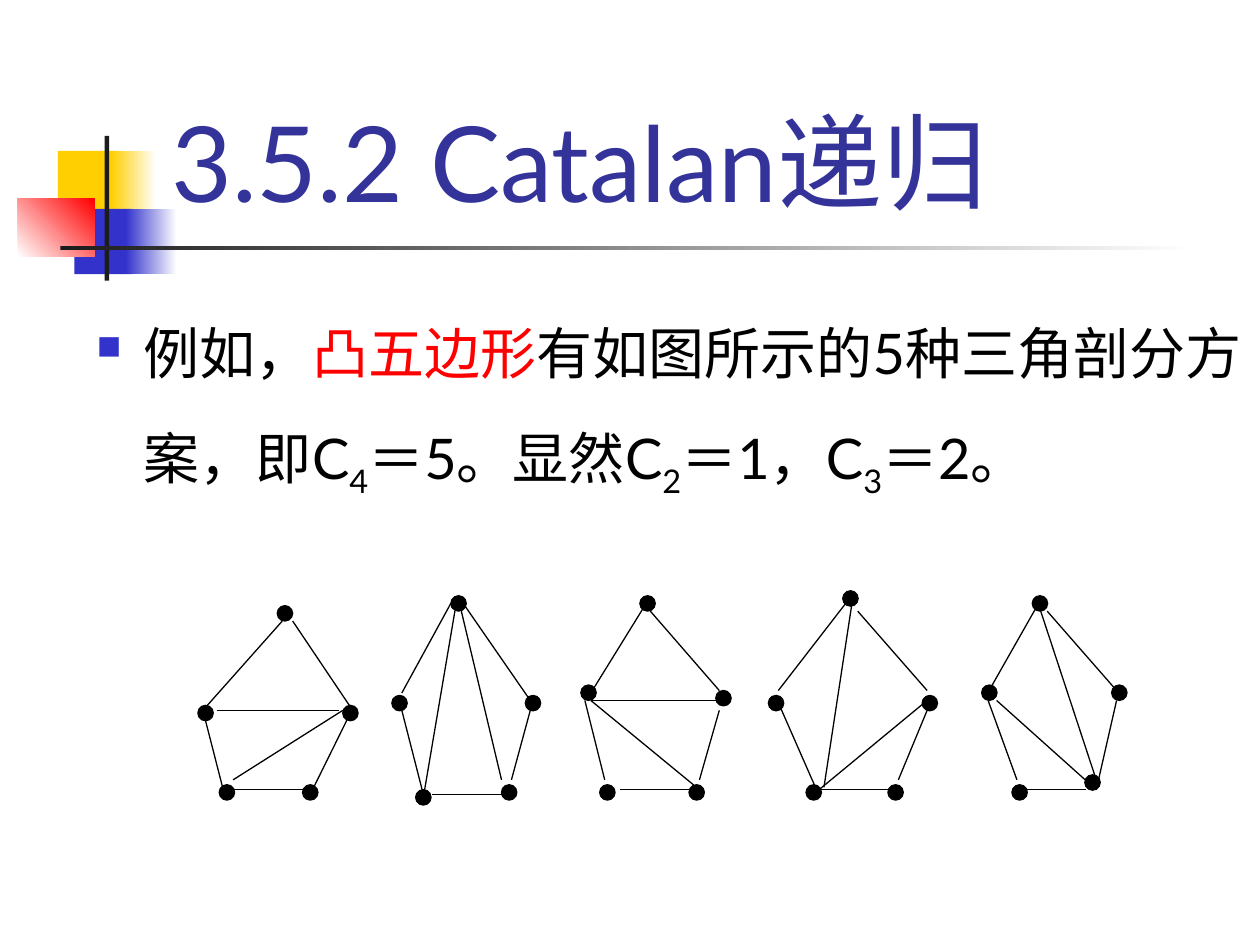
import dataclasses

import pptx
import pptx.dml.color
import pptx.enum.shapes
import pptx.enum.text
import pptx.oxml
import pptx.oxml.ns
import pptx.util
from pptx.util import Cm


@dataclasses.dataclass(frozen=True)
class Theme:
    font: str = "Lato"
    title: str = "333399"
    text: str = "000000"
    accent: str = "FF0000"
    yellow: str = "FFCF01"
    blue: str = "3333CC"
    dark: str = "1C1C1C"
    white: str = "FFFFFF"
    title_size: int = 60
    body_size: int = 32
    line_width: float = 0.75


THEME = Theme()
SUBSCRIPT = "-25000"
DOT = 0.31

# Coloured blocks: left, top, width, height, gradient start, end, angle
ORNAMENT = [
    (0.81, 0.3, 1.22, 1.32, THEME.yellow, THEME.yellow, 0),
    (1.88, 0.3, 0.91, 1.32, THEME.yellow, THEME.white, 0),
    (1.14, 1.47, 1.17, 1.32, THEME.blue, THEME.blue, 0),
    (2.18, 1.47, 1.02, 1.32, THEME.blue, THEME.white, 0),
    (0, 1.27, 1.55, 1.17, THEME.white, THEME.accent, 45),
    (1.75, 0, 0.09, 2.92, THEME.dark, THEME.dark, 0),
    (0.86, 2.21, 22.86, 0.09, THEME.dark, THEME.white, 0),
]

# Body runs: text, colour, is subscript
BODY = [
    ("例如，", THEME.text, False),
    ("凸五边形", THEME.accent, False),
    ("有如图所示的5种三角剖分方案，即C", THEME.text, False),
    ("4", THEME.text, True),
    ("＝5。显然C", THEME.text, False),
    ("2", THEME.text, True),
    ("＝1，C", THEME.text, False),
    ("3", THEME.text, True),
    ("＝2。", THEME.text, False),
]

# Pentagons: left edge, dot corners (x, y), edges and diagonals (x1, y1, x2, y2)
PENTAGON_TOP = 11.91
PENTAGONS = [
    (3.99,
     [(1.6, 0.3), (0, 2.31), (2.92, 2.31), (2.11, 3.91), (0.43, 3.91)],
     [(1.7, 0.61, 0.1, 2.41), (1.91, 0.61, 3.12, 2.41), (3.1, 2.41, 2.31, 4.01),
      (0.1, 2.41, 0.51, 4.01), (0.71, 4.01, 2.11, 4.01),
      (0.38, 2.41, 2.84, 2.41), (2.92, 2.41, 0.71, 3.81)]),
    (7.9,
     [(1.19, 0.1), (0, 2.11), (2.69, 2.11), (2.21, 3.91), (0.48, 4.01)],
     [(1.4, 0.2, 2.79, 2.21), (0.2, 2.41, 0.61, 4.01), (2.79, 2.41, 2.41, 3.81),
      (0.81, 4.11, 2.21, 4.11), (1.19, 0.25, 0.2, 2.06),
      (1.4, 0.41, 2.21, 3.81), (1.27, 0.41, 0.66, 4.01)]),
    (11.71,
     [(1.19, 0.1), (0, 1.9), (2.72, 2.01), (2.18, 3.91), (0.38, 3.91)],
     [(1.3, 0.28, 0.2, 2.06), (1.4, 0.41, 2.79, 2.01), (2.79, 2.41, 2.39, 3.81),
      (0.08, 2.21, 0.48, 3.81), (0.79, 4.01, 2.39, 4.01),
      (0.2, 2.21, 2.79, 2.21), (0.2, 2.21, 2.39, 4.01)]),
    (15.49,
     [(1.5, 0), (0, 2.11), (3.1, 2.11), (2.41, 3.91), (0.76, 3.91)],
     [(1.6, 0.2, 0.2, 2.01), (1.8, 0.41, 3.2, 2.01), (3.2, 2.41, 2.62, 3.81),
      (0.18, 2.21, 0.97, 4.01), (1.02, 4.01, 2.41, 4.01),
      (1.7, 0.15, 1.12, 3.96), (3.2, 2.21, 1.02, 4.01)]),
    (19.79,
     [(1.02, 0.1), (0, 1.9), (2.62, 1.9), (2.08, 3.71), (0.61, 3.91)],
     [(1.12, 0.3, 0.15, 2.01), (1.32, 0.41, 2.72, 2.01), (0.13, 2.21, 0.71, 3.81),
      (2.72, 2.21, 2.31, 4.01), (0.91, 4.01, 2.11, 4.01),
      (1.12, 0.2, 2.31, 3.81), (0.3, 2.21, 2.31, 4.01)]),
]


def rgb(value):
    return pptx.dml.color.RGBColor.from_string(value)


def style_run(run, size, color):
    run.font.name = THEME.font
    run.font.size = pptx.util.Pt(size)
    run.font.color.rgb = rgb(color)


def add_text_frame(slide, left, top, width, height, anchor):
    box = slide.shapes.add_textbox(Cm(left), Cm(top), Cm(width), Cm(height))
    box.text_frame.word_wrap = True
    box.text_frame.vertical_anchor = anchor
    return box.text_frame


def add_ornament(slide, left, top):
    for x, y, width, height, start, end, angle in ORNAMENT:
        shape = slide.shapes.add_shape(
            pptx.enum.shapes.MSO_SHAPE.RECTANGLE,
            Cm(left + x), Cm(top + y), Cm(width), Cm(height))
        shape.shadow.inherit = False
        shape.line.fill.background()
        if start == end:
            shape.fill.solid()
            shape.fill.fore_color.rgb = rgb(start)
            continue
        shape.fill.gradient()
        shape.fill.gradient_angle = angle
        for stop, color in zip(shape.fill.gradient_stops, (start, end)):
            stop.color.rgb = rgb(color)


def add_title(slide, left, top, width, height):
    frame = add_text_frame(slide, left, top, width, height,
                           pptx.enum.text.MSO_ANCHOR.BOTTOM)
    frame.text = "3.5.2 Catalan递归"
    style_run(frame.paragraphs[0].runs[0], THEME.title_size, THEME.title)


def add_square_bullet(paragraph, indent):
    properties = paragraph._p.get_or_add_pPr()
    properties.set("marL", str(Cm(indent)))
    properties.set("indent", str(-Cm(indent)))
    namespace = pptx.oxml.ns.nsdecls("a")
    for xml in (
        f'<a:buClr {namespace}><a:srgbClr val="{THEME.blue}"/></a:buClr>',
        f'<a:buSzPct {namespace} val="60000"/>',
        f'<a:buChar {namespace} char="■"/>',
    ):
        properties.append(pptx.oxml.parse_xml(xml))


def add_body(slide, left, top, width, height):
    frame = add_text_frame(slide, left, top, width, height,
                           pptx.enum.text.MSO_ANCHOR.TOP)
    paragraph = frame.paragraphs[0]
    paragraph.line_spacing = 1.5
    paragraph.space_before = pptx.util.Pt(8)
    add_square_bullet(paragraph, 0.95)
    for text, color, is_subscript in BODY:
        run = paragraph.add_run()
        run.text = text
        style_run(run, THEME.body_size, color)
        if is_subscript:
            run._r.get_or_add_rPr().set("baseline", SUBSCRIPT)


def add_pentagon(slide, left, top, corners, segments):
    # Corner dots
    for x, y in corners:
        dot = slide.shapes.add_shape(
            pptx.enum.shapes.MSO_SHAPE.OVAL,
            Cm(left + x), Cm(top + y), Cm(DOT), Cm(DOT))
        dot.shadow.inherit = False
        dot.fill.solid()
        dot.fill.fore_color.rgb = rgb(THEME.text)
        dot.line.color.rgb = rgb(THEME.text)
        dot.line.width = pptx.util.Pt(THEME.line_width)
    # Sides and diagonals
    for x1, y1, x2, y2 in segments:
        line = slide.shapes.add_connector(
            pptx.enum.shapes.MSO_CONNECTOR.STRAIGHT,
            Cm(left + x1), Cm(top + y1), Cm(left + x2), Cm(top + y2))
        line.line.color.rgb = rgb(THEME.text)
        line.line.width = pptx.util.Pt(THEME.line_width)
        line._element.spPr.append(pptx.oxml.parse_xml(
            f'<a:effectLst {pptx.oxml.ns.nsdecls("a")}/>'))


def main():
    presentation = pptx.Presentation()
    presentation.slide_width = Cm(25.4)
    presentation.slide_height = Cm(19.05)
    slide = presentation.slides.add_slide(presentation.slide_layouts[6])
    add_ornament(slide, 0.36, 2.74)
    add_title(slide, 3.2, 0.58, 21.64, 4.06)
    add_body(slide, 1.7, 5.61, 23.7, 13.44)
    for left, corners, segments in PENTAGONS:
        add_pentagon(slide, left, PENTAGON_TOP, corners, segments)
    presentation.save("out.pptx")


if __name__ == "__main__":
    main()
